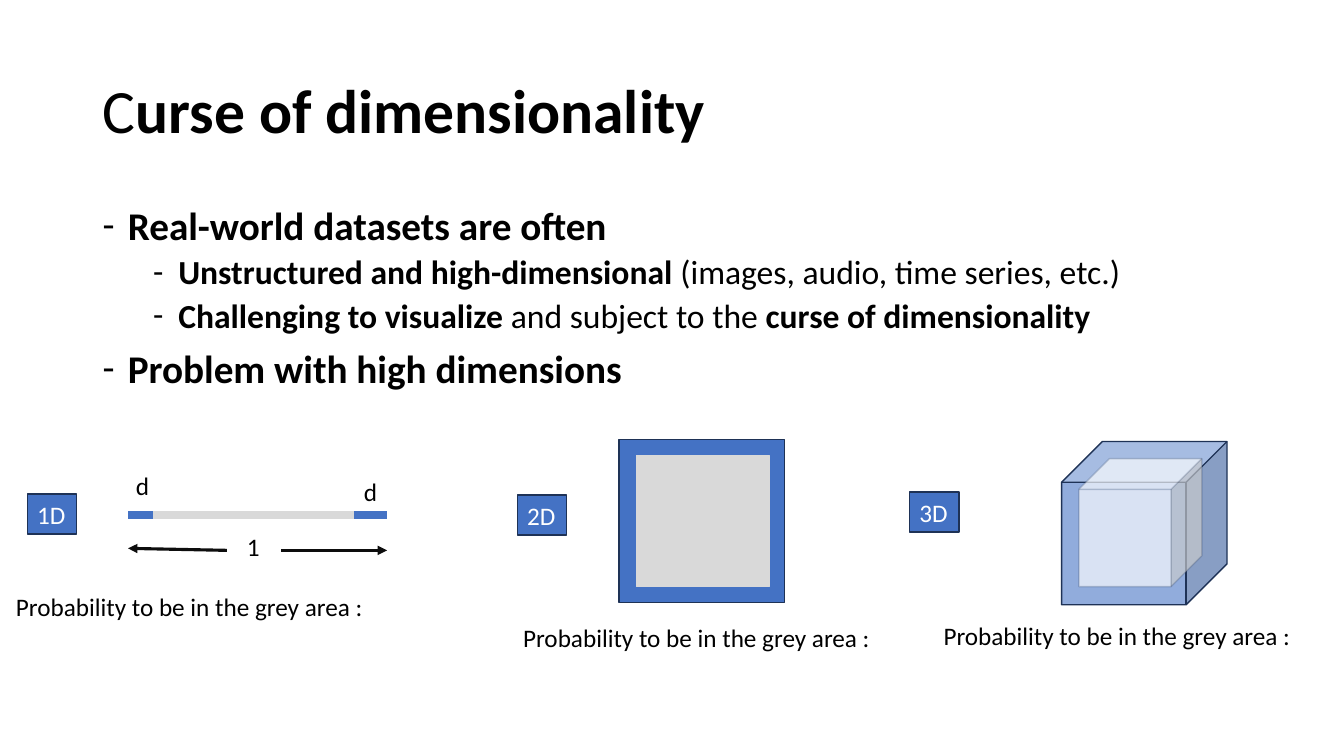
from dataclasses import dataclass

from lxml.etree import SubElement
from pptx import Presentation
from pptx.dml.color import RGBColor
from pptx.enum.shapes import MSO_CONNECTOR, MSO_SHAPE
from pptx.enum.text import MSO_ANCHOR, MSO_AUTO_SIZE, PP_ALIGN
from pptx.oxml.ns import qn
from pptx.shapes.autoshape import Shape
from pptx.slide import Slide
from pptx.text.text import TextFrame
from pptx.util import Inches, Pt


@dataclass(frozen=True)
class Theme:
    font: str = "Calibri"
    black: str = "000000"
    white: str = "FFFFFF"
    blue: str = "4472C4"
    outline: str = "1E3256"
    grey: str = "D9D9D9"
    arrow: str = "0D0D0D"
    title_size: int = 44
    topic_size: int = 28
    detail_size: int = 24
    label_size: int = 18


THEME = Theme()


@dataclass(frozen=True)
class Span:
    text: str
    bold: bool = True


@dataclass(frozen=True)
class Bullet:
    spans: tuple[Span, ...]
    level: int = 0


@dataclass(frozen=True)
class Box:
    left: float
    top: float
    width: float
    height: float

    def lengths(self) -> tuple[int, ...]:
        return tuple(Inches(n) for n in (self.left, self.top, self.width, self.height))


@dataclass(frozen=True)
class Label:
    text: str
    box: Box
    wrap: bool = False


@dataclass(frozen=True)
class Solid:
    box: Box
    fill: str
    line: str = THEME.outline
    kind: MSO_SHAPE = MSO_SHAPE.RECTANGLE
    fill_alpha: int = 100
    line_alpha: int = 100


@dataclass(frozen=True)
class Stroke:
    start: tuple[float, float]
    end: tuple[float, float]
    color: str
    width: float
    arrow: bool = False


TITLE = (Span("C", False), Span("urse of dimensionality"))
BULLETS = (
    Bullet((Span("Real-world datasets are often"),)),
    Bullet((Span("Unstructured and high-dimensional"),
            Span(" (images, audio, time series, etc.)", False)), 1),
    Bullet((Span("Challenging to visualize"), Span(" and subject to the ", False),
            Span("curse of dimensionality")), 1),
    Bullet((Span("Problem with high dimensions"),)),
)
SEGMENT = (
    Stroke((1.27, 5.11), (3.84, 5.11), THEME.blue, 6),
    Stroke((2.79, 5.46), (3.84, 5.46), THEME.arrow, 2.25, True),
    Stroke((2.25, 5.46), (1.27, 5.44), THEME.arrow, 2.25, True),
    Stroke((1.52, 5.11), (3.51, 5.11), THEME.grey, 6),
)
MEASURES = (
    Label("1", Box(2.35, 5.22, 0.33, 0.4)),
    Label("d", Box(1.25, 4.62, 0.34, 0.4)),
    Label("d", Box(3.51, 4.68, 0.32, 0.4), True),
)
BADGES = tuple(
    Label(name, Box(left, top, 0.49, 0.4))
    for name, left, top in (("1D", 0.27, 4.9), ("2D", 5.13, 4.91), ("3D", 9.02, 4.88))
)
CAPTIONS = tuple(
    Label("Probability to be in the grey area :", Box(left, top, 3.74, 0.4))
    for left, top in ((0.06, 5.82), (5.09, 6.12), (9.26, 6.11))
)
SOLIDS = (
    Solid(Box(6.14, 4.36, 1.64, 1.62), THEME.blue),
    Solid(Box(6.31, 4.52, 1.32, 1.3), THEME.grey, THEME.grey),
    Solid(Box(10.53, 4.38, 1.64, 1.62), THEME.blue, kind=MSO_SHAPE.CUBE, fill_alpha=59),
    Solid(Box(10.7, 4.55, 1.22, 1.27), THEME.white, kind=MSO_SHAPE.CUBE,
          fill_alpha=66, line_alpha=21),
)


def write_spans(paragraph, spans: tuple[Span, ...], size: int,
                color: str = THEME.black) -> None:
    paragraph.font.name = THEME.font
    paragraph.font.size = Pt(size)
    paragraph.font.color.rgb = RGBColor.from_string(color)
    same_weight = len({span.bold for span in spans}) == 1
    if same_weight:
        paragraph.font.bold = spans[0].bold
    for span in spans:
        run = paragraph.add_run()
        run.text = span.text
        if not same_weight:
            run.font.bold = span.bold


def add_frame(slide: Slide, box: Box, wrap: bool = True) -> TextFrame:
    frame = slide.shapes.add_textbox(*box.lengths()).text_frame
    frame.word_wrap = wrap
    return frame


def write_label(frame: TextFrame, label: Label, color: str) -> None:
    frame.word_wrap = label.wrap
    frame.auto_size = MSO_AUTO_SIZE.SHAPE_TO_FIT_TEXT
    frame.paragraphs[0].alignment = PP_ALIGN.LEFT
    write_spans(frame.paragraphs[0], (Span(label.text, False),), THEME.label_size, color)


def add_title(slide: Slide) -> None:
    frame = add_frame(slide, Box(0.92, 0.4, 11.5, 1.45))
    frame.vertical_anchor = MSO_ANCHOR.MIDDLE
    frame.paragraphs[0].line_spacing = 0.9
    write_spans(frame.paragraphs[0], TITLE, THEME.title_size)


def add_bullets(slide: Slide) -> None:
    frame = add_frame(slide, Box(0.92, 2, 11.5, 4.76))
    for index, bullet in enumerate(BULLETS):
        paragraph = frame.add_paragraph() if index else frame.paragraphs[0]
        paragraph.level = bullet.level
        paragraph.line_spacing = 0.9
        paragraph.space_before = Pt(5 if bullet.level else 10)
        properties = paragraph._p.get_or_add_pPr()
        properties.set("marL", str(Inches(0.25 + 0.5 * bullet.level)))
        properties.set("indent", str(Inches(-0.25)))
        SubElement(properties, qn("a:buFont"), typeface=THEME.font)
        SubElement(properties, qn("a:buChar"), char="-")
        size = THEME.detail_size if bullet.level else THEME.topic_size
        write_spans(paragraph, bullet.spans, size)


def add_solid(slide: Slide, solid: Solid) -> Shape:
    shape = slide.shapes.add_shape(solid.kind, *solid.box.lengths())
    shape.shadow.inherit = False
    shape.line.width = Pt(1)
    for fill, color, alpha in ((shape.fill, solid.fill, solid.fill_alpha),
                               (shape.line.fill, solid.line, solid.line_alpha)):
        fill.solid()
        fill.fore_color.rgb = RGBColor.from_string(color)
        if alpha < 100:
            tint = fill._xPr.find(qn("a:solidFill")).find(qn("a:srgbClr"))
            SubElement(tint, qn("a:alpha"), val=str(alpha * 1000))
    return shape


def add_stroke(slide: Slide, stroke: Stroke) -> None:
    ends = (Inches(n) for n in stroke.start + stroke.end)
    connector = slide.shapes.add_connector(MSO_CONNECTOR.STRAIGHT, *ends)
    connector.line.width = Pt(stroke.width)
    connector.line.color.rgb = RGBColor.from_string(stroke.color)
    if stroke.arrow:
        SubElement(connector.line._get_or_add_ln(), qn("a:tailEnd"), type="triangle")
    SubElement(connector._element.spPr, qn("a:effectLst"))


def main() -> None:
    deck = Presentation()
    deck.slide_width, deck.slide_height = Inches(13.33), Inches(7.5)
    slide = deck.slides.add_slide(deck.slide_layouts[6])
    add_title(slide)
    add_bullets(slide)
    for stroke in SEGMENT:
        add_stroke(slide, stroke)
    for label in MEASURES + CAPTIONS:
        write_label(add_frame(slide, label.box), label, THEME.black)
    for badge in BADGES:
        write_label(add_solid(slide, Solid(badge.box, THEME.blue)).text_frame, badge, THEME.white)
    for solid in SOLIDS:
        add_solid(slide, solid)
    deck.save("out.pptx")


if __name__ == "__main__":
    main()
